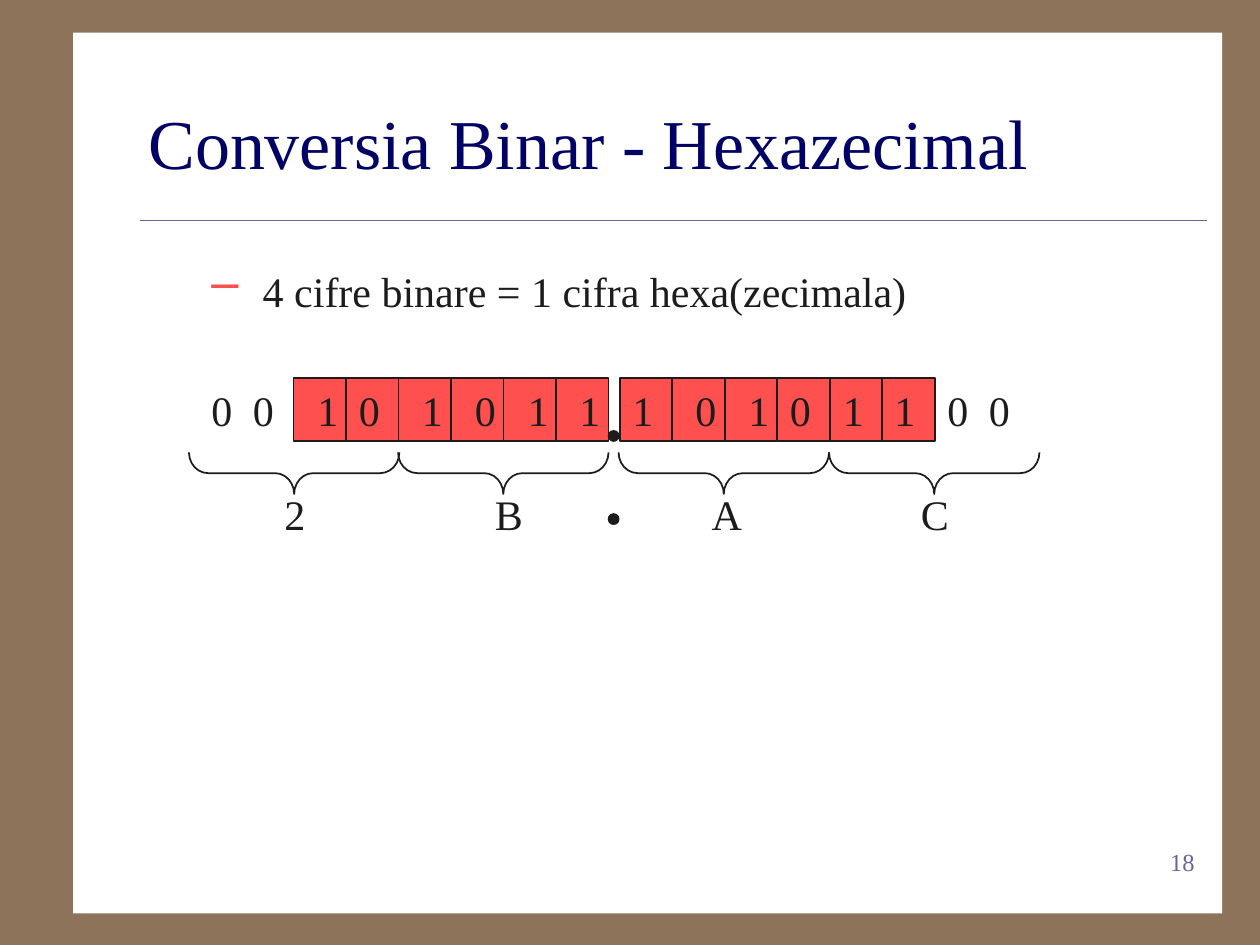
from pptx import Presentation
from pptx.dml.color import RGBColor
from pptx.enum.shapes import MSO_CONNECTOR, MSO_SHAPE
from pptx.enum.text import MSO_ANCHOR, PP_ALIGN
from pptx.oxml.ns import qn
from pptx.util import Inches, Pt
from lxml.etree import SubElement

INK = "1C1C1C"
RED = "FF5050"


def tint(hue):
    return RGBColor.from_string(hue)


def write(box, runs, hue, tabs=()):
    shape = deck.shapes.add_textbox(*[Inches(n) for n in box])
    shape.text_frame.word_wrap = True
    para = shape.text_frame.paragraphs[0]
    if tabs:
        stops = SubElement(para._p.get_or_add_pPr(), qn("a:tabLst"))
        for pos in tabs:
            SubElement(stops, qn("a:tab"), pos=str(Inches(pos)), algn="l")
    for text, size in runs:
        run = para.add_run()
        run.text = text
        run.font.size = Pt(size)
        run.font.name = "Times New Roman"
        run.font.color.rgb = tint(hue)
    return shape.text_frame, para


show = Presentation()
show.slide_width = Inches(10)
show.slide_height = Inches(7.5)
deck = show.slides.add_slide(show.slide_layouts[6])
deck.background.fill.solid()
deck.background.fill.fore_color.rgb = tint("8C735A")

page = deck.shapes.add_shape(
    MSO_SHAPE.RECTANGLE, Inches(0.58), Inches(0.26), Inches(9.12), Inches(6.99))
page.shadow.inherit = False
page.fill.solid()
page.fill.fore_color.rgb = tint("FFFFFF")
page.line.fill.background()

rule = deck.shapes.add_connector(
    MSO_CONNECTOR.STRAIGHT, Inches(1.11), Inches(1.75), Inches(9.58), Inches(1.75))
rule.line.color.rgb = tint("666699")
rule.line.width = Pt(0.25)
SubElement(rule._element.spPr, qn("a:effectLst"))

frame, para = write((7.5, 6.67, 2.08, 0.5), [("18", 14)], "666699")
para.alignment = PP_ALIGN.RIGHT

frame, para = write(
    (1.08, 0.5, 8.5, 1.25), [("Conversia Binar - Hexazecimal", 40)], "000066")
frame.vertical_anchor = MSO_ANCHOR.MIDDLE

frame, para = write(
    (1.08, 2, 8.5, 4.5),
    [(" ", 28), ("4 cifre binare = 1 cifra hexa(zecimala)", 24)], INK)
props = para._p.get_or_add_pPr()
props.set("marL", str(Inches(0.81)))
props.set("indent", str(Inches(-0.31)))
mark = SubElement(props, qn("a:buClr"))
SubElement(mark, qn("a:srgbClr"), val=RED)
SubElement(props, qn("a:buChar"), char="–")

cell = Inches(5) / 12
for start in (Inches(2.33), Inches(4.92)):
    for col in range(6):
        box = deck.shapes.add_shape(
            MSO_SHAPE.RECTANGLE, int(start + col * cell), Inches(3),
            int(cell), Inches(0.5))
        box.shadow.inherit = False
        box.fill.solid()
        box.fill.fore_color.rgb = tint(RED)
        box.line.color.rgb = tint(INK)
        box.line.width = Pt(1)

for top in (3.42, 4.08):
    dot = deck.shapes.add_shape(
        MSO_SHAPE.OVAL, Inches(4.83), Inches(top), Inches(0.08), Inches(0.08))
    dot.shadow.inherit = False
    dot.fill.solid()
    dot.fill.fore_color.rgb = tint(INK)
    dot.line.color.rgb = tint(INK)
    dot.line.width = Pt(1)

for left in (2.17, 3.83, 5.58, 7.25):
    brace = deck.shapes.add_shape(
        MSO_SHAPE.LEFT_BRACE, Inches(left), Inches(2.92), Inches(0.33), Inches(1.67))
    brace.rotation = 270
    brace.adjustments[0] = 0.46
    brace.shadow.inherit = False
    brace.fill.background()
    brace.line.color.rgb = tint(INK)
    brace.line.width = Pt(1)

rows = [
    (1.58, 3, 0.83, "0\t0", (0.33,)),
    (2.42, 3, 2.58, "1\t0\t1\t0\t1\t1", (0.33, 0.83, 1.25, 1.67, 2.08)),
    (4.92, 3, 2.58, "1\t0\t1\t0\t1\t1", (0.5, 0.92, 1.25, 1.67, 2.08)),
    (7.42, 3, 0.83, "0\t0", (0.33,)),
    (1.58, 3.83, 6.67, "\t2\tB\tA\tC", (0.58, 2.25, 3.97, 5.63)),
]
for left, top, width, text, tabs in rows:
    write((left, top, width, 0.5), [(text, 24)], INK, tabs)

show.save("out.pptx")
